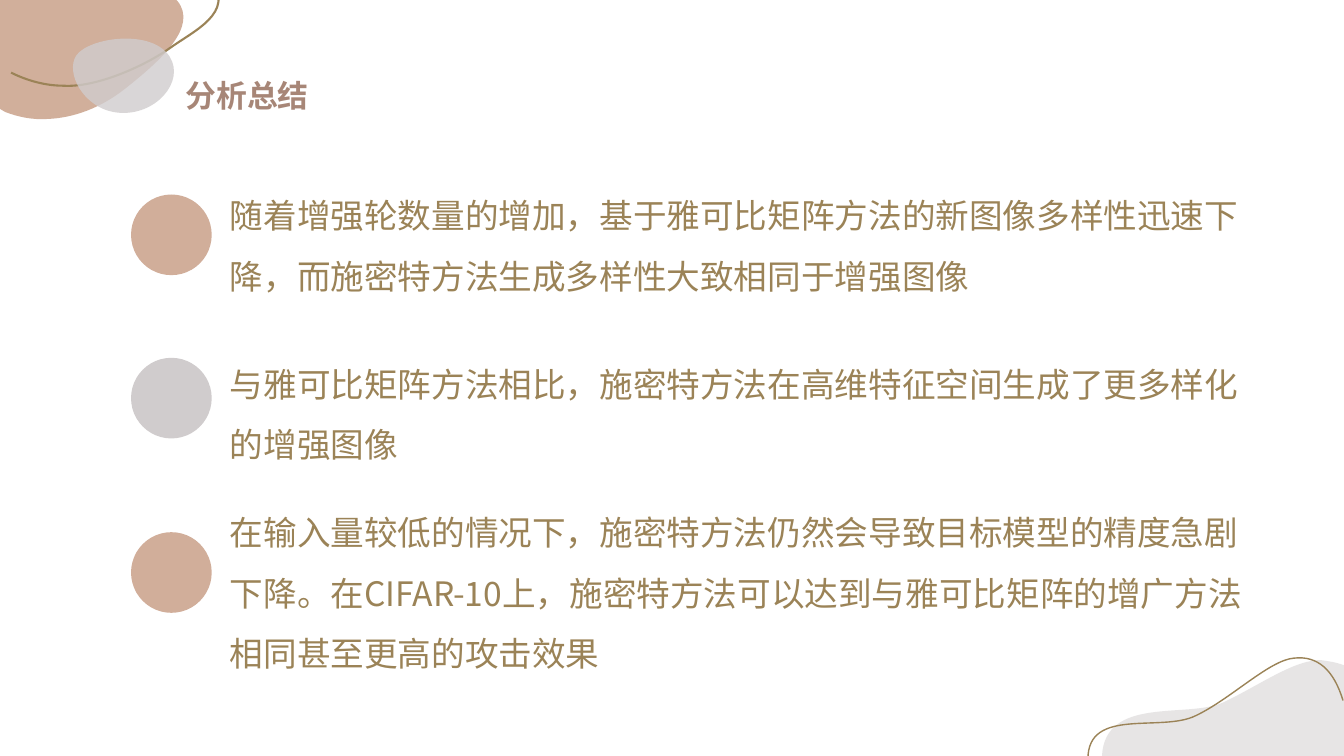
from math import cos, radians, sin
from pptx import Presentation
from pptx.dml.color import RGBColor
from pptx.enum.shapes import MSO_SHAPE
from pptx.enum.text import MSO_ANCHOR, MSO_AUTO_SIZE
from pptx.oxml.ns import qn
from pptx.util import Inches, Pt
from lxml.etree import SubElement

TAN = RGBColor(0xD1, 0xAE, 0x9A)
GREY = RGBColor(0xD0, 0xCC, 0xCD)
GOLD = RGBColor(0x9B, 0x83, 0x57)
ROSE = RGBColor(0xA7, 0x86, 0x77)
FONT = "Noto Sans CJK SC"

TOP_BLOB = [(0.47, 1.18), (0.73, 1.17, 1, 1.07, 1.24, 0.88),
            (1.62, 0.58, 1.96, 0.26, 1.76, 0.01), (1.74, -0.01),
            (0, -0.01), (0, 1.08), (0.05, 1.11),
            (0.18, 1.16, 0.32, 1.19, 0.47, 1.18)]
TOP_CURVE = [(0.11, 0.72), (0.27, 0.8, 0.45, 0.85, 0.63, 0.85),
             (0.96, 0.87, 1.44, 0.65, 1.68, 0.48),
             (1.93, 0.3, 2.33, 0.13, 2.1, -0.2)]
PEBBLE = [(0.74, 0.58), (0.66, 0.77, 0.87, 1.13, 1.24, 1.12),
          (1.6, 1.11, 1.86, 0.75, 1.65, 0.52),
          (1.43, 0.28, 0.81, 0.39, 0.74, 0.58)]
LOW_BLOB = [(13.06, 6.55), (13.08, 6.55, 13.09, 6.55, 13.11, 6.55),
            (13.18, 6.56, 13.25, 6.57, 13.33, 6.6),
            (13.33, 7.5), (10.93, 7.5),
            (10.96, 6.9, 11.78, 7.13, 12.13, 6.97),
            (12.47, 6.81, 12.8, 6.57, 13.06, 6.55)]
LOW_CURVE = [(10.79, 7.53), (10.79, 7.01, 11.52, 7.27, 11.86, 7.1),
             (12.2, 6.94, 12.59, 6.55, 12.83, 6.53),
             (13.07, 6.5, 13.23, 6.65, 13.32, 6.95)]

POINTS = [
    (1.93, TAN, 1.73, 1.21,
     "随着增强轮数量的增加，基于雅可比矩阵方法的新图像多样性迅速下降，而施密特方法生成多样性大致相同于增强图像"),
    (3.55, GREY, 3.4, 1.21,
     "与雅可比矩阵方法相比，施密特方法在高维特征空间生成了更多样化的增强图像"),
    (5.28, TAN, 4.87, 1.82,
     "在输入量较低的情况下，施密特方法仍然会导致目标模型的精度急剧下降。在CIFAR-10上，施密特方法可以达到与雅可比矩阵的增广方法相同甚至更高的攻击效果"),
]


def turn_back(x, y, box, angle):
    left, top, width, height = box
    dx, dy = x - left - width / 2, y - top - height / 2
    c, s = cos(radians(angle)), sin(radians(angle))
    return width / 2 + dx * c + dy * s, height / 2 - dx * s + dy * c


def trace(slide, parts, box, angle, close):
    pen = slide.shapes.build_freeform(*map(Inches, parts[0]))
    pen.add_line_segments([tuple(map(Inches, part[-2:])) for part in parts[1:]],
                          close=close)
    shape = pen.convert_to_shape()
    shape.shadow.inherit = False
    shape.left, shape.top, shape.width, shape.height = map(Inches, box)
    shape.rotation = angle
    route = next(shape.element.iter(qn("a:path")))
    route.set("w", str(shape.width))
    route.set("h", str(shape.height))
    for node, part in zip(list(route), parts):
        bend = node.makeelement(qn("a:cubicBezTo" if len(part) == 6 else node_tag(node)))
        route.replace(node, bend)
        for x, y in zip(part[::2], part[1::2]):
            x, y = turn_back(x, y, box, angle)
            spot = SubElement(bend, qn("a:pt"))
            spot.set("x", str(int(Inches(x))))
            spot.set("y", str(int(Inches(y))))
    return shape


def node_tag(node):
    return "a:moveTo" if node.tag == qn("a:moveTo") else "a:lnTo"


def paint(shape, color):
    shape.fill.solid()
    shape.fill.fore_color.rgb = color
    shape.line.fill.background()


def add_blob(slide, parts, box, angle, color, alpha):
    blob = trace(slide, parts, box, angle, True)
    paint(blob, color)
    tint = blob.element.spPr.find(qn("a:solidFill"))[0]
    SubElement(tint, qn("a:alpha")).set("val", str(alpha * 1000))


def add_curve(slide, parts, box, angle, width):
    curve = trace(slide, parts, box, angle, False)
    curve.fill.background()
    curve.line.color.rgb = GOLD
    curve.line.width = Pt(width)


def add_dot(slide, top, color):
    dot = slide.shapes.add_shape(
        MSO_SHAPE.OVAL, Inches(1.3), Inches(top), Inches(0.8), Inches(0.8))
    dot.shadow.inherit = False
    paint(dot, color)


def add_text(slide, box, text, size, color, space, anchor, bold=False):
    frame = slide.shapes.add_textbox(*map(Inches, box)).text_frame
    frame.word_wrap = True
    frame.auto_size = MSO_AUTO_SIZE.SHAPE_TO_FIT_TEXT
    frame.vertical_anchor = anchor
    frame.margin_left = frame.margin_right = 0
    frame.margin_top = frame.margin_bottom = 0
    frame.text = text
    para = frame.paragraphs[0]
    para.line_spacing = space
    font = para.runs[0].font
    font.name = FONT
    font.size = Pt(size)
    font.bold = bold
    font.color.rgb = color
    SubElement(font._element, qn("a:ea")).set("typeface", FONT)


def main():
    deck = Presentation()
    deck.slide_width = Inches(13.33)
    deck.slide_height = Inches(7.5)
    slide = deck.slides.add_slide(deck.slide_layouts[6])
    add_blob(slide, TOP_BLOB, (0, -0.01, 1.81, 1.2), 180, TAN, 98)
    add_curve(slide, TOP_CURVE, (0.14, -0.28, 2, 1.17), 184.6, 1.5)
    add_blob(slide, PEBBLE, (0.72, 0.38, 1, 0.74), 180, GREY, 80)
    add_blob(slide, LOW_BLOB, (10.93, 6.55, 2.4, 0.95), 0, GREY, 50)
    add_curve(slide, LOW_CURVE, (10.79, 6.52, 2.52, 1), 0, 1)
    add_text(slide, (1.84, 0.69, 2.25, 0.44), "分析总结", 22, ROSE, 1.2,
             MSO_ANCHOR.TOP, True)
    for dot_top, color, top, height, text in POINTS:
        add_dot(slide, dot_top, color)
        add_text(slide, (2.28, top, 10.23, height), text, 24, GOLD, 1.5,
                 MSO_ANCHOR.MIDDLE)
    deck.save("out.pptx")


if __name__ == "__main__":
    main()
